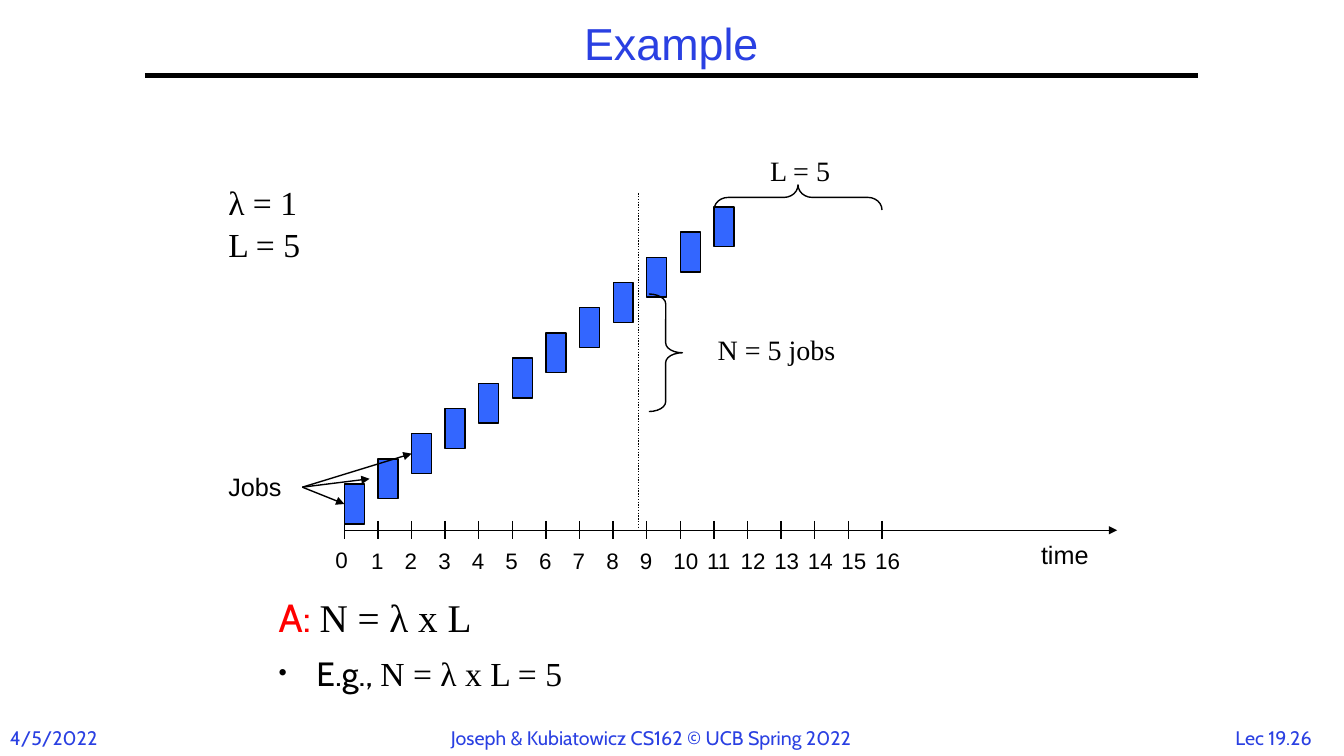
from lxml import etree
from pptx import Presentation
from pptx import util as u
from pptx.dml.color import RGBColor
from pptx.enum import dml, shapes, text
from pptx.oxml.ns import qn

PX = 9525  # EMU in one px, 96 px to the inch
BLUE, JOB_BLUE, BLACK, RED = "2A40E2", "3366FF", "000000", "FF0000"
SERIF, SANS, CABIN = "Times New Roman", "Arial", "Cabin"
SHAPE = shapes.MSO_SHAPE


def px(*lengths):
    return [u.Emu(length * PX) for length in lengths]


def color(hex_value):
    return RGBColor.from_string(hex_value)


def style(run, size, font, hex_value=BLACK):
    run.font.size = u.Pt(size)
    run.font.name = font
    run.font.color.rgb = color(hex_value)


def add_text(slide, box, content, size, font, hex_value=BLACK, wrap=False):
    label = slide.shapes.add_textbox(*px(*box))
    frame = label.text_frame
    frame.word_wrap = wrap
    if not wrap:
        frame.auto_size = text.MSO_AUTO_SIZE.SHAPE_TO_FIT_TEXT
    frame.text = content
    for paragraph in frame.paragraphs:
        for run in paragraph.runs:
            style(run, size, font, hex_value)
    return frame


def add_line(slide, start, end, width=1, arrow=False, dash=None):
    line = slide.shapes.add_connector(shapes.MSO_CONNECTOR.STRAIGHT, *px(*start, *end))
    line.line.color.rgb = color(BLACK)
    line.line.width = u.Pt(width)
    if dash:
        line.line.dash_style = dash
    if arrow:
        etree.SubElement(line.line._get_or_add_ln(), qn("a:tailEnd"), type="triangle")
    etree.SubElement(line._element.spPr, qn("a:effectLst"))
    return line


def add_outlined(slide, kind, box, fill=None):
    shape = slide.shapes.add_shape(kind, *px(*box))
    shape.shadow.inherit = False
    if fill:
        shape.fill.solid()
        shape.fill.fore_color.rgb = color(fill)
    else:
        shape.fill.background()
    shape.line.color.rgb = color(BLACK)
    shape.line.width = u.Pt(1)
    return shape


def add_brace(slide, kind, box, curve, rotation=0):
    brace = add_outlined(slide, kind, box)
    brace.adjustments[0] = curve
    brace.rotation = rotation


def add_header(slide, x, y, w, h):
    title = add_text(slide, (x, y, w, h), "Example", 32, SANS, BLUE, wrap=True)
    title.vertical_anchor = text.MSO_ANCHOR.MIDDLE
    title.paragraphs[0].alignment = text.PP_ALIGN.CENTER
    title.paragraphs[0].line_spacing = 0.9
    add_line(slide, (x, y + h), (x + w, y + h), width=3)


def add_footer(slide, x, y, w, h):
    add_text(slide, (x, y, 112, h), "4/5/2022", 14, CABIN, BLUE)
    add_text(slide, (x + 420, y, 437, h),
             "Joseph & Kubiatowicz CS162 © UCB Spring 2022", 14, CABIN, BLUE)
    page = add_text(slide, (x + w - 119, y, 104, h), "Lec 19.26", 14, CABIN, BLUE)
    page.paragraphs[0].alignment = text.PP_ALIGN.CENTER


def add_givens(slide, x, y, w, h):
    givens = add_text(slide, (x, y, w, h), "λ = 1\nL = 5", 24, SERIF, wrap=True)
    for paragraph in givens.paragraphs:
        paragraph.line_spacing = 0.8
    givens.paragraphs[1].space_before = u.Pt(7)


def add_time_axis(slide, x, y, w, pitch):
    add_line(slide, (x, y), (x + w, y), arrow=True)
    for tick in range(17):
        tick_x = x + tick * pitch
        add_line(slide, (tick_x, y - 9), (tick_x, y + 8))
        width = 31 if tick < 10 else 43
        left, top = (tick_x - 16, y + 11) if tick else (x - 18, y + 10)
        add_text(slide, (left, top, width, 36), str(tick), 16, SANS)
    add_text(slide, (x + w - 82, y + 4, 80, 38), "time", 18, SANS)


def add_jobs(slide, x, y, pitch, rise):
    """Draw the staircase of jobs above the axis origin (x, y)."""
    jobs = [add_outlined(slide, SHAPE.RECTANGLE,
                         (x + i * pitch, y - 44 - i * rise, 19, 38), JOB_BLUE)
            for i in range(12)]

    # Pointers from the label to the first three jobs
    add_text(slide, (x - 120, y - 61, 76, 38), "Jobs", 18, SANS)
    source = (x - 40, y - 41)
    add_line(slide, source, (x + 24, y - 49), arrow=True)
    for job in (0, 2):
        pointer = add_line(slide, source, (x + job * pitch, y - 25 - job * rise), arrow=True)
        pointer.end_connect(jobs[job], 1)


def add_measures(slide, x, y):
    """Mark the moment of observation, the job count and the latency."""
    add_line(slide, (x + 280, y - 321), (x + 280, y - 1),
             dash=dml.MSO_LINE.ROUND_DOT)
    add_brace(slide, SHAPE.LEFT_BRACE, (x + 420, y - 397, 24, 160), 0.556, rotation=90)
    add_text(slide, (x + 396, y - 364, 80, 41), "L = 5", 20, SERIF)
    add_brace(slide, SHAPE.RIGHT_BRACE, (x + 290, y - 225, 32, 112), 0.292)
    add_text(slide, (x + 346, y - 193, 140, 41), "N = 5 jobs", 20, SERIF)


def add_answer(slide, x, y, w, h):
    frame = add_text(slide, (x, y, w, h), "", 28, CABIN, wrap=True)
    law, example = frame.paragraphs[0], frame.add_paragraph()

    # Bullet of the worked example
    props = example._p.get_or_add_pPr()
    props.set("marL", str(36 * PX))
    props.set("indent", str(-36 * PX))
    bullet_color = etree.SubElement(props, qn("a:buClr"))
    etree.SubElement(bullet_color, qn("a:srgbClr"), val=BLACK)
    etree.SubElement(props, qn("a:buSzPct"), val="70000")
    etree.SubElement(props, qn("a:buFont"), typeface=SANS)
    etree.SubElement(props, qn("a:buChar"), char="•")
    example.space_before = u.Pt(9)

    for paragraph, content, size, font, hex_value in (
            (law, "A: ", 28, CABIN, RED),
            (law, "N = λ x L", 28, SERIF, BLACK),
            (example, "E.g., ", 24, CABIN, BLACK),
            (example, "N = λ x L = 5", 24, SERIF, BLACK)):
        run = paragraph.add_run()
        run.text = content
        style(run, size, font, hex_value)


def main():
    deck = Presentation()
    deck.slide_width, deck.slide_height = px(1280, 720)
    slide = deck.slides.add_slide(deck.slide_layouts[6])
    origin_x, origin_y, pitch = 328, 505, 32
    add_footer(slide, 0, 687, 1280, 32)
    add_header(slide, 138, 16, 1003, 56)
    add_givens(slide, 208, 176, 147, 83)
    add_time_axis(slide, origin_x, origin_y, 736, pitch)
    add_jobs(slide, origin_x, origin_y, pitch, 24)
    add_measures(slide, origin_x, origin_y)
    add_answer(slide, 256, 560, 816, 144)
    deck.save("out.pptx")


if __name__ == "__main__":
    main()
